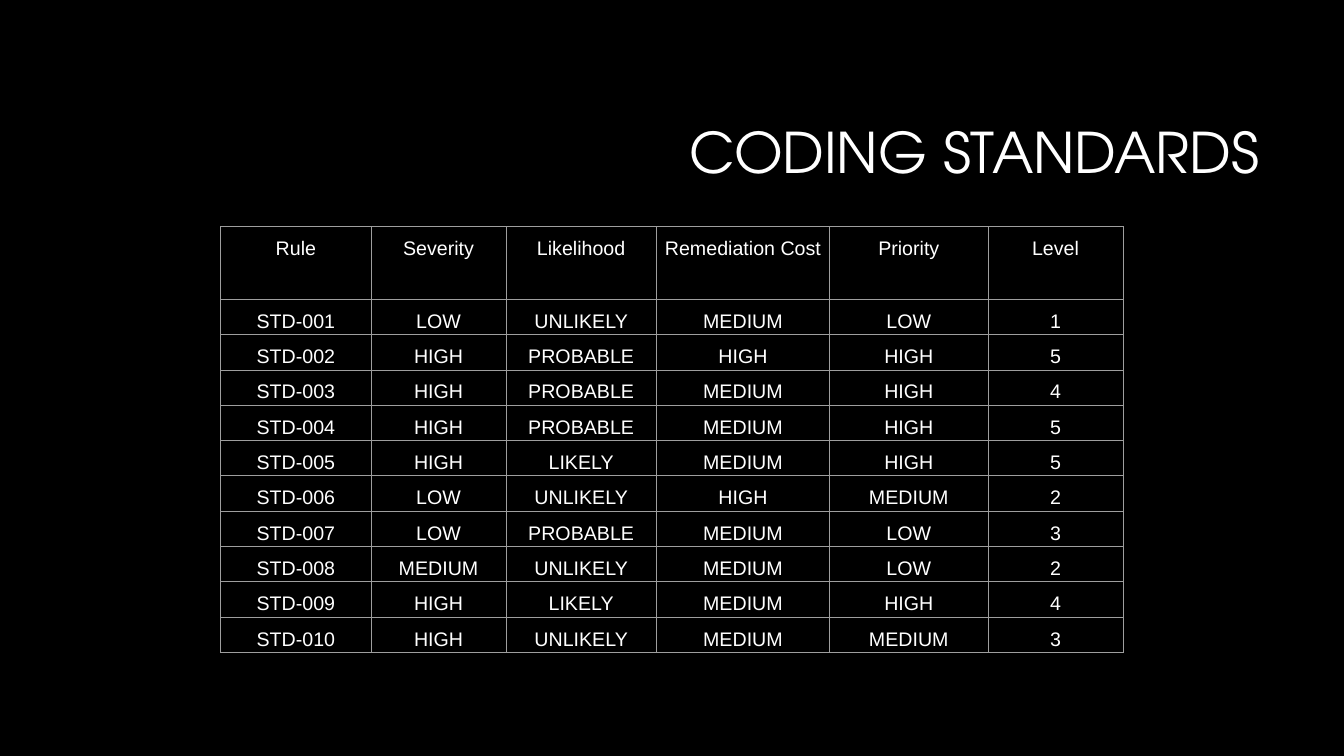
"""Build the coding standards slide with its table of rated rules."""
import lxml.etree
import pptx
import pptx.dml.color
import pptx.enum.text
import pptx.oxml.ns
import pptx.util

TITLE = "CODING STANDARDS"
HEADERS = ("Rule", "Severity", "Likelihood", "Remediation Cost", "Priority", "Level")
RULES = [
    ("STD-001", "LOW", "UNLIKELY", "MEDIUM", "LOW", "1"),
    ("STD-002", "HIGH", "PROBABLE", "HIGH", "HIGH", "5"),
    ("STD-003", "HIGH", "PROBABLE", "MEDIUM", "HIGH", "4"),
    ("STD-004", "HIGH", "PROBABLE", "MEDIUM", "HIGH", "5"),
    ("STD-005", "HIGH", "LIKELY", "MEDIUM", "HIGH", "5"),
    ("STD-006", "LOW", "UNLIKELY", "HIGH", "MEDIUM", "2"),
    ("STD-007", "LOW", "PROBABLE", "MEDIUM", "LOW", "3"),
    ("STD-008", "MEDIUM", "UNLIKELY", "MEDIUM", "LOW", "2"),
    ("STD-009", "HIGH", "LIKELY", "MEDIUM", "HIGH", "4"),
    ("STD-010", "HIGH", "UNLIKELY", "MEDIUM", "MEDIUM", "3"),
]
COLUMN_WIDTHS = (1.49, 1.34, 1.49, 1.72, 1.57, 1.34)
HEADER_HEIGHT, RULE_HEIGHT = 0.72, 0.34
COLORS = {"background": "000000", "text": "FFFFFF", "border": "9E9E9E"}
BORDER_WIDTH = 0.75

Inches = pptx.util.Inches
Pt = pptx.util.Pt
RGBColor = pptx.dml.color.RGBColor
PP_ALIGN = pptx.enum.text.PP_ALIGN
qn = pptx.oxml.ns.qn


def style_paragraph(paragraph, font_name, size, alignment, line_spacing):
    paragraph.alignment = alignment
    paragraph.line_spacing = line_spacing
    paragraph.font.name = font_name
    paragraph.font.size = Pt(size)
    paragraph.font.color.rgb = RGBColor.from_string(COLORS["text"])


def add_borders(cell):
    properties = cell._tc.get_or_add_tcPr()
    for side in ("a:lnL", "a:lnR", "a:lnT", "a:lnB"):
        line = lxml.etree.SubElement(properties, qn(side), w=str(Pt(BORDER_WIDTH)))
        fill = lxml.etree.SubElement(line, qn("a:solidFill"))
        lxml.etree.SubElement(fill, qn("a:srgbClr"), val=COLORS["border"])


def add_title(slide):
    box = slide.shapes.add_textbox(Inches(3.17), Inches(0.84), Inches(9.42), Inches(1.41))
    frame = box.text_frame
    frame.word_wrap = True
    frame.vertical_anchor = pptx.enum.text.MSO_ANCHOR.MIDDLE
    frame.text = TITLE
    style_paragraph(frame.paragraphs[0], "TeX Gyre Adventor", 40, PP_ALIGN.RIGHT, 0.9)


def add_rules_table(slide):
    rows = [HEADERS, *RULES]
    heights = [HEADER_HEIGHT] + [RULE_HEIGHT] * len(RULES)
    table = slide.shapes.add_table(
        len(rows), len(HEADERS), Inches(2.19), Inches(2.25),
        Inches(sum(COLUMN_WIDTHS)), Inches(sum(heights)),
    ).table
    table.first_row = False
    table.horz_banding = False
    for column, width in zip(table.columns, COLUMN_WIDTHS):
        column.width = Inches(width)
    for row, height, values in zip(table.rows, heights, rows):
        row.height = Inches(height)
        for cell, value in zip(row.cells, values):
            cell.margin_left = cell.margin_right = Inches(0.07)
            cell.margin_top = cell.margin_bottom = 0
            add_borders(cell)
            cell.fill.background()
            cell.text = value
            style_paragraph(cell.text_frame.paragraphs[0], "Arial", 14, PP_ALIGN.CENTER, 1.5)


def main():
    presentation = pptx.Presentation()
    presentation.slide_width = Inches(13.33)
    presentation.slide_height = Inches(7.5)
    slide = presentation.slides.add_slide(presentation.slide_layouts[6])
    slide.background.fill.solid()
    slide.background.fill.fore_color.rgb = RGBColor.from_string(COLORS["background"])
    add_title(slide)
    add_rules_table(slide)
    presentation.save("out.pptx")


if __name__ == "__main__":
    main()
